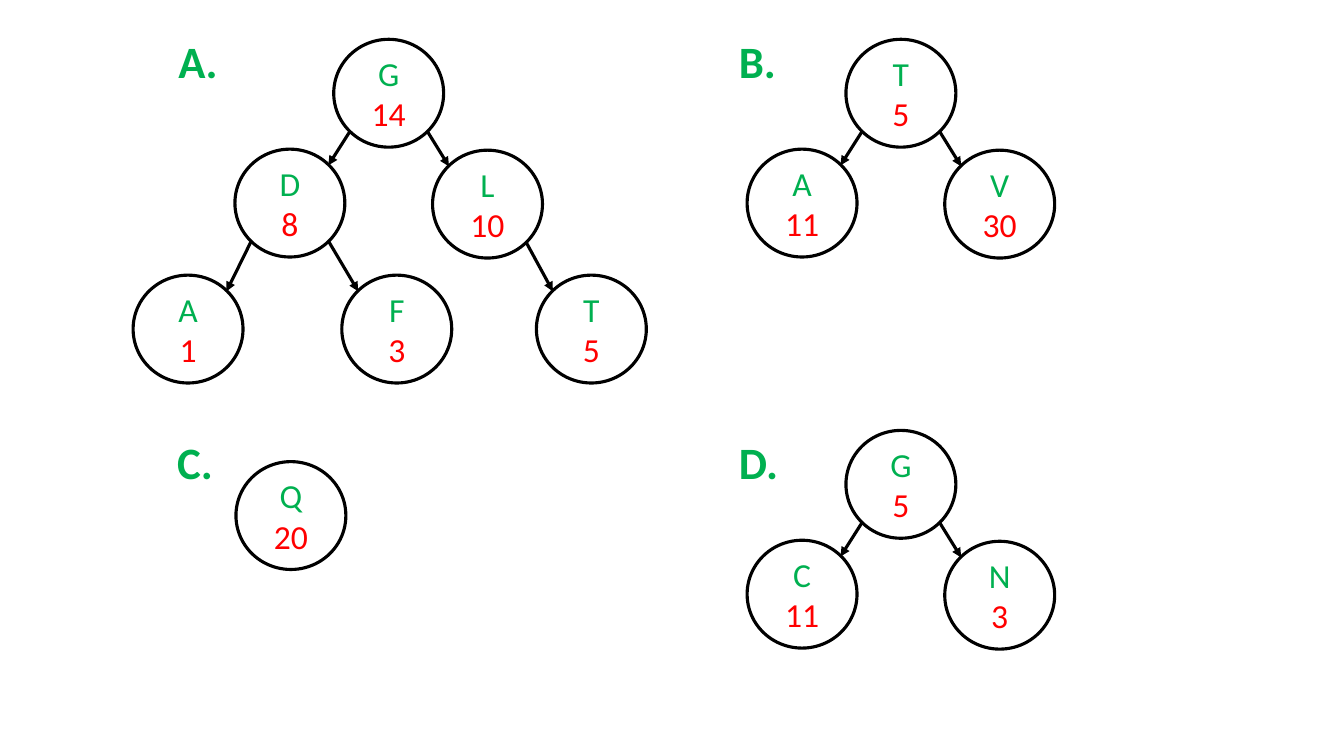
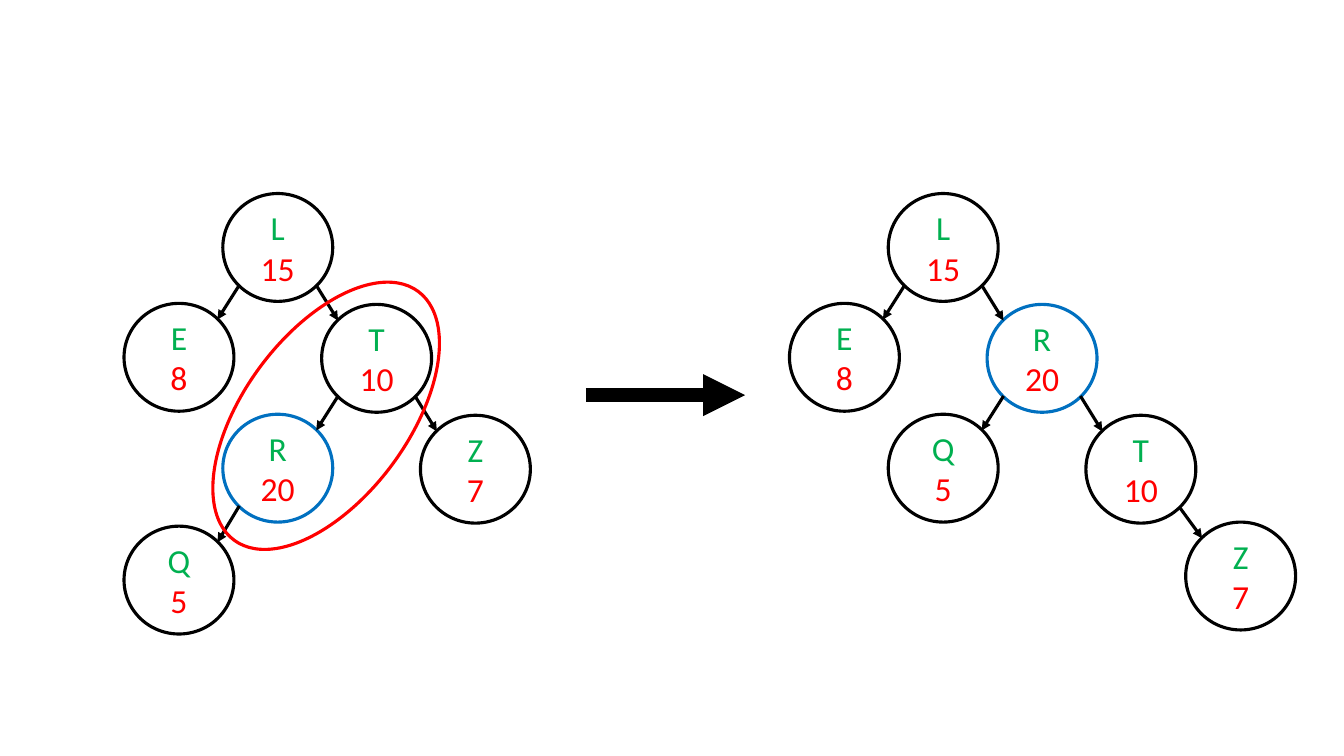
from pptx import Presentation
from pptx.dml.color import RGBColor
from pptx.enum.shapes import MSO_CONNECTOR, MSO_SHAPE
from pptx.enum.text import MSO_ANCHOR, PP_ALIGN
from pptx.oxml.ns import qn
from pptx.util import Pt
from lxml.etree import SubElement

PX = 9144  # EMU per px, 100 px to the inch
THEME = {
    "font": "Calibri", "label_size": 32, "node_size": 24,
    "key": "00B050", "priority": "FF0000",
    "line": "000000", "moved": "0070C0", "mark": "FF0000",
    "line_width": 2.25, "arrow_width": 10,
}
SLIDE_W, SLIDE_H = 1333, 750
NODE_W, NODE_H = 109, 107
CORNER = 0.15  # where a 45-degree line leaves the node's bounding box
LEFT, RIGHT = (-98, 109), (98, 110)  # usual step from parent to child

# Tree: position of the root, then (key, priority, parent, step from parent)
SLIDES = [
    {
        "labels": [("A.", 167, 29), ("B.", 723, 29),
                   ("C.", 166, 426), ("D.", 723, 426)],
        "trees": [
            ((331, 39), [("G", 14, None, None),
                         ("D", 8, "G", LEFT), ("L", 10, "G", RIGHT),
                         ("A", 1, "D", (-101, 125)), ("F", 3, "D", (106, 125)),
                         ("T", 5, "L", (103, 124))]),
            ((234, 458), [("Q", 20, None, None)]),
            ((839, 39), [("T", 5, None, None),
                         ("A", 11, "T", LEFT), ("V", 30, "T", RIGHT)]),
            ((839, 427), [("G", 5, None, None),
                          ("C", 11, "G", LEFT), ("N", 3, "G", RIGHT)]),
        ],
    },
    {
        "trees": [
            ((221, 192), [("L", 15, None, None),
                          ("E", 8, "L", LEFT), ("T", 10, "L", RIGHT),
                          ("R", 20, "T", LEFT), ("Z", 7, "T", RIGHT),
                          ("Q", 5, "R", (-98, 111))]),
            ((881, 192), [("L", 15, None, None),
                          ("E", 8, "L", LEFT), ("R", 20, "L", RIGHT),
                          ("Q", 5, "R", LEFT), ("T", 10, "R", RIGHT),
                          ("Z", 7, "T", (99, 106))]),
        ],
        "moved": "R",
        "arrow": ((581, 392), (739, 392)),
        "mark": ((170, 331, 307, 163), 306.5),
    },
]


def emu(*lengths):
    return [round(v * PX) for v in lengths]


def color(name):
    return RGBColor.from_string(THEME[name])


def add_run(p, text, size, ink, bold=False):
    r = p.add_run()
    r.text = str(text)
    style = {"name": THEME["font"], "size": Pt(THEME[size]), "bold": bold}
    for name, value in style.items():
        setattr(r.font, name, value)
    r.font.color.rgb = color(ink)


def add_label(s, text, x, y):
    tf = s.shapes.add_textbox(*emu(x, y, 63, 64)).text_frame
    tf.word_wrap = True
    add_run(tf.paragraphs[0], text, "label_size", "key", bold=True)


def add_ellipse(s, box, ink):
    sp = s.shapes.add_shape(MSO_SHAPE.OVAL, *emu(*box))
    sp.shadow.inherit = False
    sp.fill.background()
    sp.line.color.rgb = color(ink)
    sp.line.width = Pt(THEME["line_width"])
    return sp


def add_arrow(s, start, end, width="line_width"):
    c = s.shapes.add_connector(MSO_CONNECTOR.STRAIGHT, *emu(*start, *end))
    c.line.color.rgb = color("line")
    c.line.width = Pt(THEME[width])
    SubElement(c.line._get_or_add_ln(), qn("a:tailEnd"), type="triangle")
    SubElement(c._element.spPr, qn("a:effectLst"))


def add_node(s, key, priority, x, y, ink):
    tf = add_ellipse(s, (x, y, NODE_W, NODE_H), ink).text_frame
    tf.vertical_anchor = MSO_ANCHOR.MIDDLE
    for p, text, text_ink in ((tf.paragraphs[0], key, "key"),
                              (tf.add_paragraph(), priority, "priority")):
        p.alignment = PP_ALIGN.CENTER
        add_run(p, text, "node_size", text_ink)


def corner(node, right, bottom):
    x, y = node
    return (x + NODE_W * (1 - CORNER if right else CORNER),
            y + NODE_H * (1 - CORNER if bottom else CORNER))


def add_tree(s, root, nodes, moved):
    places = {}
    for key, priority, parent, step in nodes:
        if parent is None:
            places[key] = root
        else:
            (px, py), (dx, dy) = places[parent], step
            places[key] = (px + dx, py + dy)
        add_node(s, key, priority, *places[key],
                 "moved" if key == moved else "line")
        if parent is not None:
            to_right = dx > 0
            add_arrow(s, corner(places[parent], to_right, True),
                      corner(places[key], not to_right, False))


def main():
    prs = Presentation()
    prs.slide_width, prs.slide_height = emu(SLIDE_W, SLIDE_H)
    for content in SLIDES:
        s = prs.slides.add_slide(prs.slide_layouts[6])
        for label in content.get("labels", []):
            add_label(s, *label)
        if "arrow" in content:
            add_arrow(s, *content["arrow"], "arrow_width")
        for root, nodes in content["trees"]:
            add_tree(s, root, nodes, content.get("moved"))
        # Ring around the pair to rotate
        if "mark" in content:
            box, angle = content["mark"]
            add_ellipse(s, box, "mark").rotation = angle
    prs.save("out.pptx")


if __name__ == "__main__":
    main()
